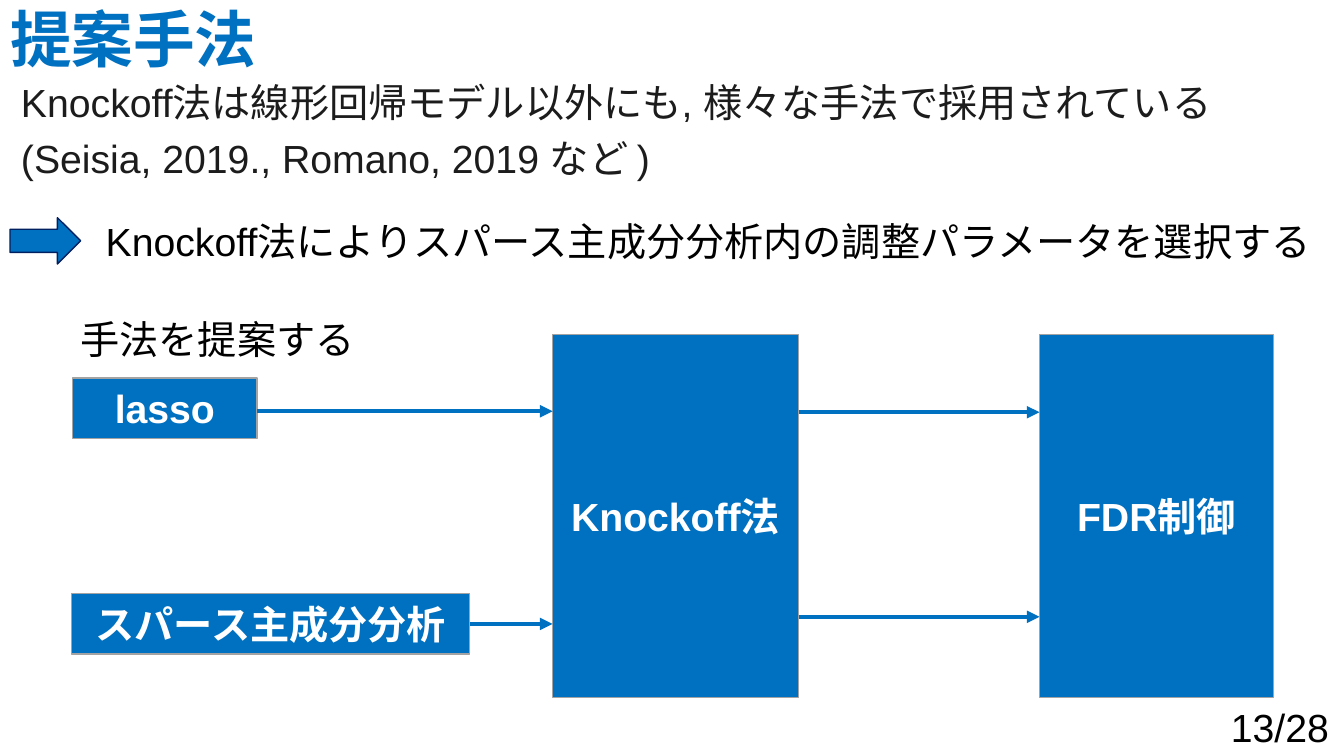
from lxml import etree
from pptx import Presentation
from pptx import util as u
from pptx.dml.color import RGBColor
from pptx.enum import shapes as s, text as t
from pptx.oxml.ns import qn

BLUE, NAVY, GRAY = "0070C0", "002060", "A3A3A3"
WHITE, BLACK, CHARCOAL = "FFFFFF", "000000", "1D1C1D"


def color(value):
    return RGBColor.from_string(value)


def style(paragraph, value, size=28, bold=False, name="Arial"):
    font = paragraph.font
    font.name, font.size, font.bold = name, u.Pt(size), bold
    font.color.rgb = color(value)


def block(slide, kind, box, line):
    shape = slide.shapes.add_shape(kind, *map(u.Inches, box))
    shape.shadow.inherit = False
    shape.fill.solid()
    shape.fill.fore_color.rgb = color(BLUE)
    shape.line.color.rgb = color(line)
    shape.line.width = u.Pt(1)
    return shape


def step(slide, label, box):
    rect = block(slide, s.MSO_SHAPE.RECTANGLE, box, GRAY)
    frame = rect.text_frame
    frame.word_wrap = True
    frame.margin_left = frame.margin_right = 0
    frame.vertical_anchor = t.MSO_ANCHOR.MIDDLE
    paragraph = frame.paragraphs[0]
    paragraph.text = label
    paragraph.alignment = t.PP_ALIGN.CENTER
    style(paragraph, WHITE, bold=True)
    return rect


def arrow(slide, start, end, y):
    link = slide.shapes.add_connector(
        s.MSO_CONNECTOR.STRAIGHT, *map(u.Inches, (start, y, end, y)))
    link.line.color.rgb = color(BLUE)
    link.line.width = u.Pt(3)
    etree.SubElement(link.line._get_or_add_ln(), qn("a:tailEnd"), type="triangle")
    etree.SubElement(link._element.spPr, qn("a:effectLst"))
    return link


def add_title(slide, box):
    title = slide.shapes.title
    title.left, title.top, title.width, title.height = map(u.Inches, box)
    frame = title.text_frame
    frame.text = "提案手法"
    frame.auto_size = t.MSO_AUTO_SIZE.NONE
    frame.vertical_anchor = t.MSO_ANCHOR.MIDDLE
    heading = frame.paragraphs[0]
    heading.alignment = t.PP_ALIGN.LEFT
    heading.line_spacing = 0.9
    style(heading, BLUE, 44, True, "Calibri")


def add_explanation(slide, box):
    left, top = box[:2]
    frame = slide.shapes.add_textbox(*map(u.Inches, box)).text_frame
    frame.word_wrap = True
    # Wording, indent in inches, space before in points, colour
    lines = [
        ("Knockoff法は線形回帰モデル以外にも, 様々な手法で採用されている", 0.11, 0, CHARCOAL),
        ("(Seisia, 2019., Romano, 2019 など )", 0.11, 10, CHARCOAL),
        ("Knockoff法によりスパース主成分分析内の調整パラメータを選択する", 0.95, 28.5, BLACK),
        ("手法を提案する", 0.7, 40, BLACK),
    ]
    for i, (wording, indent, before, value) in enumerate(lines):
        paragraph = frame.paragraphs[0] if i == 0 else frame.add_paragraph()
        paragraph.text = wording
        paragraph.line_spacing = 0.9
        paragraph.space_before = u.Pt(before)
        properties = paragraph._p.get_or_add_pPr()
        properties.set("marL", str(u.Inches(indent)))
        properties.set("indent", "0")
        style(paragraph, value)
    # Marker in front of the conclusion
    block(slide, s.MSO_SHAPE.RIGHT_ARROW, (left + 0.1, top + 1.38, 0.7, 0.46), NAVY)


def add_flow(slide, box):
    left, top, width, height = box
    knockoff, knockoff_end = left + 4.77, left + 7.21
    fdr = left + 9.6
    step(slide, "lasso", (left + 0.01, top + 0.43, 1.83, 0.6))
    sparse_pca = step(slide, "スパース主成分分析", (left, top + 2.57, 3.95, 0.6))
    step(slide, "Knockoff法", (knockoff, top, knockoff_end - knockoff, height))
    step(slide, "FDR制御", (fdr, top, width - 9.6, height))
    # Inputs to the knockoff step
    arrow(slide, left + 1.84, knockoff, top + 0.76)
    arrow(slide, left + 3.95, knockoff, top + 2.87).begin_connect(sparse_pca, 3)
    # Knockoff step to FDR control
    for y in (0.77, 2.8):
        arrow(slide, knockoff_end, fdr, top + y)


def add_page_number(slide, box):
    frame = slide.shapes.add_textbox(*map(u.Inches, box)).text_frame
    frame.word_wrap = False
    number = frame.paragraphs[0]
    number.text = "13/28"
    style(number, BLACK)


def main():
    deck = Presentation()
    deck.slide_width, deck.slide_height = u.Inches(13.33), u.Inches(7.5)
    slide = deck.slides.add_slide(deck.slide_layouts[5])
    add_title(slide, (0, 0, 10.95, 0.84))
    add_explanation(slide, (0, 0.78, 13.39, 2.44))
    add_flow(slide, (0.71, 3.32, 11.92, 3.6))
    add_page_number(slide, (12.11, 6.93, 1.22, 0.57))
    deck.save("out.pptx")


if __name__ == "__main__":
    main()
